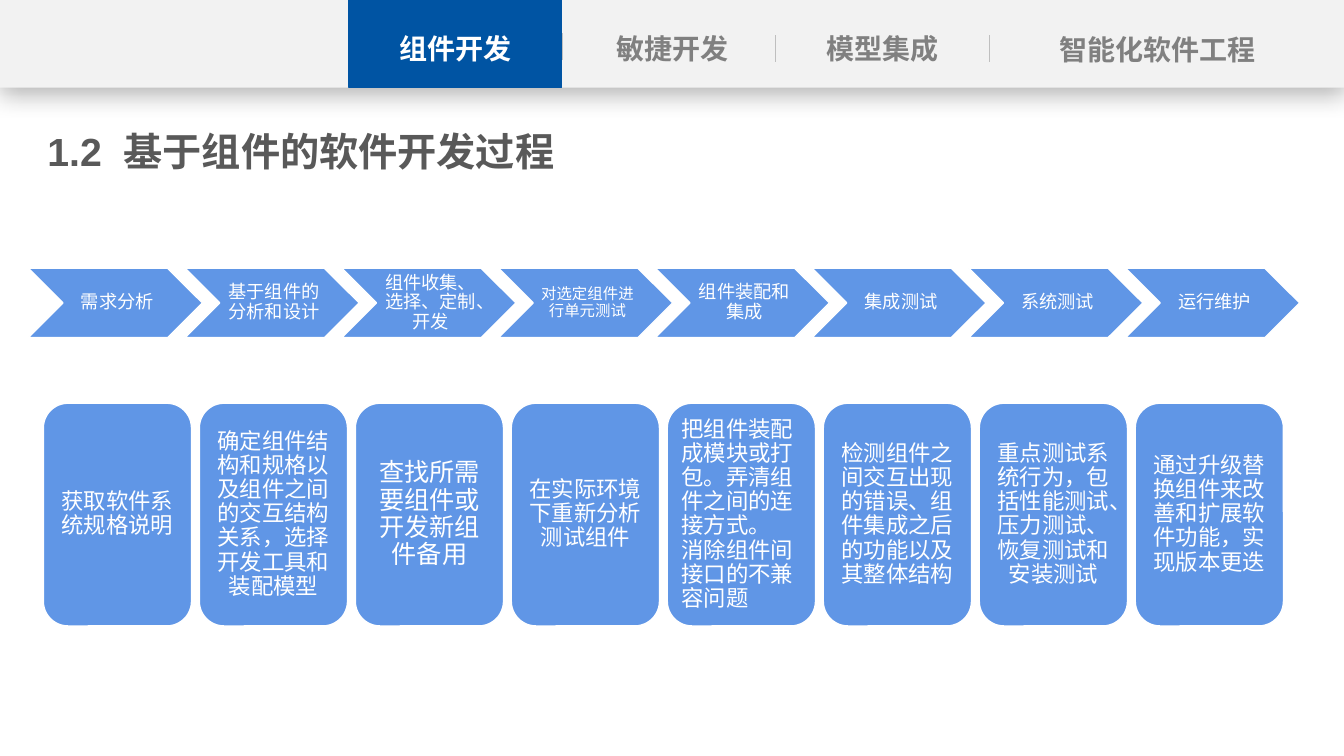
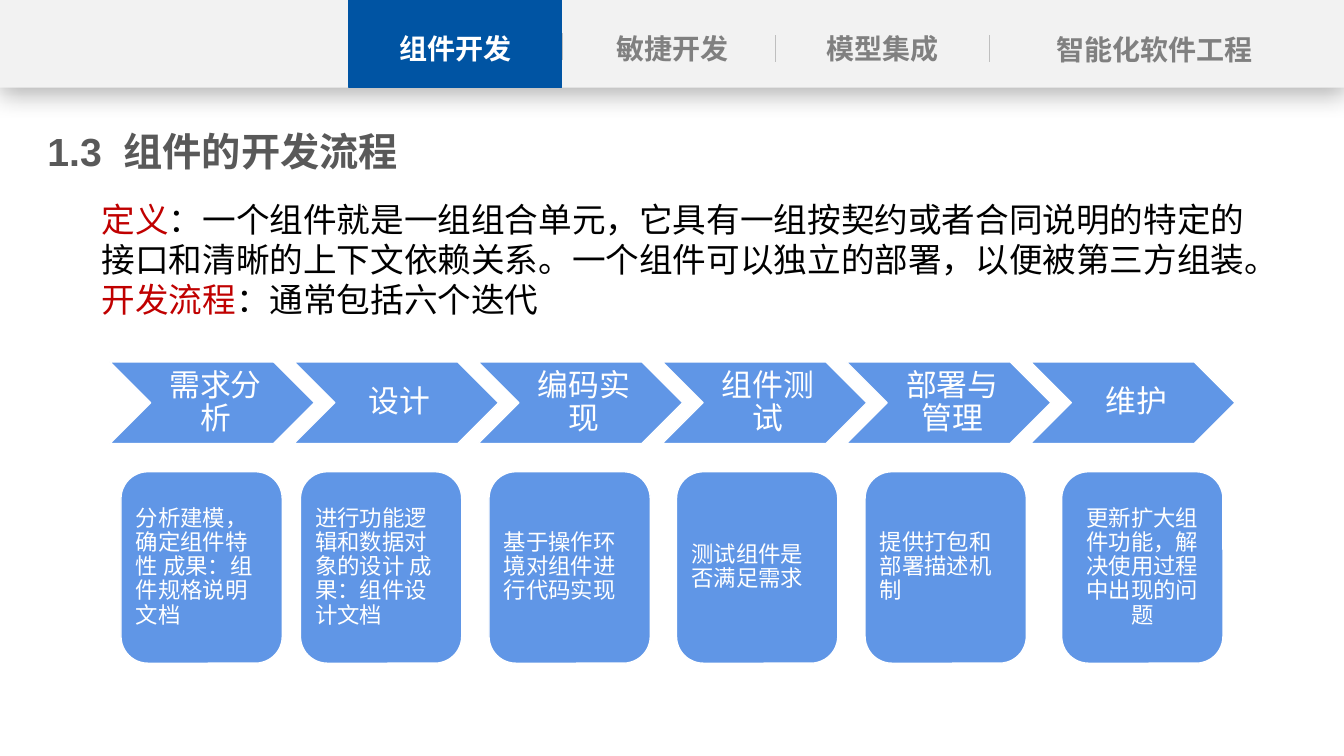
from lxml import etree
from pptx import Presentation
from pptx.dml.color import RGBColor
from pptx.enum.shapes import MSO_CONNECTOR, MSO_SHAPE
from pptx.enum.text import MSO_ANCHOR, MSO_AUTO_SIZE, PP_ALIGN
from pptx.oxml import parse_xml
from pptx.oxml.ns import nsdecls, qn
from pptx.util import Inches, Pt

FONT = "Arial"
WHITE = RGBColor(0xFF, 0xFF, 0xFF)
BLACK = RGBColor(0x00, 0x00, 0x00)
BAND = RGBColor(0xF2, 0xF2, 0xF2)
ACTIVE = RGBColor(0x00, 0x54, 0xA3)
TAB_GREY = RGBColor(0x80, 0x80, 0x80)
RULE_GREY = RGBColor(0xBF, 0xBF, 0xBF)
TITLE_GREY = RGBColor(0x59, 0x59, 0x59)
STEP_BLUE = RGBColor(0x60, 0x96, 0xE6)
RED = RGBColor(0xC0, 0x00, 0x00)

LEFT, CENTER = PP_ALIGN.LEFT, PP_ALIGN.CENTER
SLIDE_W, SLIDE_H = 13.33, 7.5
BAND_H = 0.87
TAB_INSETS = (0, 0.05, 0, 0.05)
CARD_INSETS = (0.07,) * 4
CHEVRON_OVERLAP = 0.1


def write(tf, *paras, size, color=WHITE, bold=False, align=LEFT,
          anchor=MSO_ANCHOR.TOP, insets=(0.1, 0.05, 0.1, 0.05), spacing=None):
    """Fill a frame; a paragraph is a string or a list of (text, colour) runs."""
    tf.word_wrap = True
    tf.auto_size = MSO_AUTO_SIZE.NONE
    tf.vertical_anchor = anchor
    (tf.margin_left, tf.margin_top,
     tf.margin_right, tf.margin_bottom) = map(Inches, insets)
    for i, para in enumerate(paras):
        p = tf.add_paragraph() if i else tf.paragraphs[0]
        p.alignment = align
        if spacing:
            p.line_spacing = spacing
        for text, run_color in [(para, color)] if isinstance(para, str) else para:
            for j, part in enumerate(text.split("\n")):
                if j:
                    p.add_line_break()
                r = p.add_run()
                r.text = part
                r.font.name, r.font.size, r.font.bold = FONT, Pt(size), bold
                r.font.color.rgb = run_color
                r._r.get_or_add_rPr().set("lang", "zh-CN")


def add_box(slide, kind, x, y, w, h, fill, line=None):
    sp = slide.shapes.add_shape(kind, Inches(x), Inches(y), Inches(w), Inches(h))
    sp.shadow.inherit = False
    sp.fill.solid()
    sp.fill.fore_color.rgb = fill
    if line is None:
        sp.line.fill.background()
    else:
        sp.line.color.rgb = line
        sp.line.width = Pt(1)
    return sp


def add_label(slide, x, y, w, h, *paras, **fmt):
    sp = slide.shapes.add_textbox(Inches(x), Inches(y), Inches(w), Inches(h))
    write(sp.text_frame, *paras, **fmt)


def add_divider(slide, x, y, h):
    ln = slide.shapes.add_connector(
        MSO_CONNECTOR.STRAIGHT, Inches(x), Inches(y), Inches(x), Inches(y + h))
    ln.line.color.rgb = RULE_GREY
    ln.line.width = Pt(0.5)
    etree.SubElement(ln._element.spPr, qn("a:effectLst"))


def drop_shadow(sp):
    effects = sp._element.spPr.find(qn("a:effectLst"))
    effects.append(parse_xml(
        f'<a:outerShdw {nsdecls("a")} blurRad="{Pt(18)}" dist="{Pt(4)}" '
        'dir="5400000" algn="t" rotWithShape="0"><a:srgbClr val="000000">'
        '<a:alpha val="29000"/></a:srgbClr></a:outerShdw>'))


def navigation(slide, last_w):
    drop_shadow(add_box(slide, MSO_SHAPE.RECTANGLE, 0, 0, SLIDE_W, BAND_H, BAND))
    add_box(slide, MSO_SHAPE.RECTANGLE, 3.46, 0, 2.11, BAND_H, ACTIVE, ACTIVE)
    tabs = [("组件开发", 3.78, 0.26, 1.47, WHITE),
            ("敏捷开发", 5.74, 0.26, 1.86, TAB_GREY),
            ("模型集成", 7.94, 0.26, 1.63, TAB_GREY),
            ("智能化软件工程", 10.07, 0.27, last_w, TAB_GREY)]
    for text, x, y, w, color in tabs:
        add_label(slide, x, y, w, 0.44, text, size=20, color=color, bold=True,
                  align=CENTER, insets=TAB_INSETS)
    for x, y in [(5.58, 0.33), (7.69, 0.35), (9.81, 0.35)]:
        add_divider(slide, x, y, 0.27)


def new_slide(prs, number, title, last_w):
    """Add a slide with the navigation band and a numbered title."""
    slide = prs.slides.add_slide(prs.slide_layouts[5])
    navigation(slide, last_w)
    sp = slide.shapes.title
    sp.left, sp.top, sp.width, sp.height = map(Inches, (0.47, 1.21, 5.89, 0.57))
    runs = [(text, TITLE_GREY) for text in (number, " ", title)]
    write(sp.text_frame, runs, size=28, bold=True, insets=TAB_INSETS)
    gap = sp.text_frame.paragraphs[0].runs[1]
    gap._r.get_or_add_rPr().set("spc", "780")
    return slide


def chevron_row(slide, x, y, w, h, steps, insets):
    """Spread overlapping chevrons, given as (text, size), over the width."""
    pitch_share = 1 - CHEVRON_OVERLAP
    step_w = w / (1 + pitch_share * (len(steps) - 1))
    for i, (text, size) in enumerate(steps):
        sp = add_box(slide, MSO_SHAPE.CHEVRON, x + i * pitch_share * step_w, y,
                     step_w, h, STEP_BLUE, WHITE)
        write(sp.text_frame, text, size=size, align=CENTER, spacing=0.9,
              anchor=MSO_ANCHOR.MIDDLE, insets=insets)


def card_row(slide, lefts, y, w, h, cards):
    """Place rounded cards, given as (text, size, alignment)."""
    for x, (text, size, align) in zip(lefts, cards):
        sp = add_box(slide, MSO_SHAPE.ROUNDED_RECTANGLE, x, y, w, h, STEP_BLUE, WHITE)
        write(sp.text_frame, text, size=size, align=align, spacing=0.9,
              anchor=MSO_ANCHOR.MIDDLE, insets=CARD_INSETS)


def process_slide(prs):
    slide = new_slide(prs, "1.2", "基于组件的软件开发过程", 2.82)
    steps = [("需求分析", 13), ("基于组件的分析和设计", 13),
             ("组件收集、选择、定制、开发", 13), ("对选定组件进行单元测试", 11),
             ("组件装配和集成", 13), ("集成测试", 13), ("系统测试", 13),
             ("运行维护", 13)]
    chevron_row(slide, 0.28, 2.66, 12.61, 0.69, steps, (0.06, 0.02, 0.02, 0.02))
    cards = [
        ("获取软件系统规格说明", 16, CENTER),
        ("确定组件结构和规格以及组件之间的交互结构关系，选择开发工具和装配模型", 16, CENTER),
        ("查找所需要组件或开发新组件备用", 18, CENTER),
        ("在实际环境下重新分析测试组件", 16, CENTER),
        ("把组件装配成模块或打包。弄清组件之间的连接方式。\n消除组件间接口的不兼容问题", 16, LEFT),
        ("检测组件之间交互出现的错误、组件集成之后的功能以及其整体结构", 16, CENTER),
        ("重点测试系统行为，包括性能测试、压力测试、恢复测试和安装测试", 16, CENTER),
        ("通过升级替换组件来改善和扩展软件功能，实现版本更迭", 16, CENTER),
    ]
    first, last = 0.43, 11.26
    pitch = (last - first) / (len(cards) - 1)
    lefts = [first + i * pitch for i in range(len(cards))]
    card_row(slide, lefts, 4, 1.47, 2.21, cards)


def workflow_slide(prs):
    slide = new_slide(prs, "1.3", "组件的开发流程", 2.76)
    add_label(
        slide, 0.91, 1.92, 11.56, 1.31,
        [("定义", RED),
         ("：一个组件就是一组组合单元，它具有一组按契约或者合同说明的特定的接口和清晰的"
          "上下文依赖关系。一个组件可以独立的部署，以便被第三方组装。", BLACK)],
        [("开发流程", RED), ("：通常包括六个迭代", BLACK)],
        size=24)
    names = ["需求分析", "设计", "编码实现", "组件测试", "部署与管理", "维护"]
    chevron_row(slide, 1.09, 3.59, 11.16, 0.81, [(name, 22) for name in names],
                (0.1, 0.03, 0.03, 0.03))
    cards = [
        ("分析建模，确定组件特性 成果：组件规格说明文档", 16, LEFT),
        ("进行功能逻辑和数据对象的设计 成果：组件设计文档", 16, LEFT),
        ("基于操作环境对组件进行代码实现", 16, LEFT),
        ("测试组件是否满足需求", 16, LEFT),
        ("提供打包和部署描述机制", 16, LEFT),
        ("更新扩大组件功能，解决使用过程中出现的问题", 16, CENTER),
    ]
    lefts = [1.2, 2.98, 4.85, 6.71, 8.58, 10.53]
    card_row(slide, lefts, 4.68, 1.6, 1.9, cards)


def main():
    prs = Presentation()
    prs.slide_width, prs.slide_height = Inches(SLIDE_W), Inches(SLIDE_H)
    process_slide(prs)
    workflow_slide(prs)
    prs.save("out.pptx")


if __name__ == "__main__":
    main()
